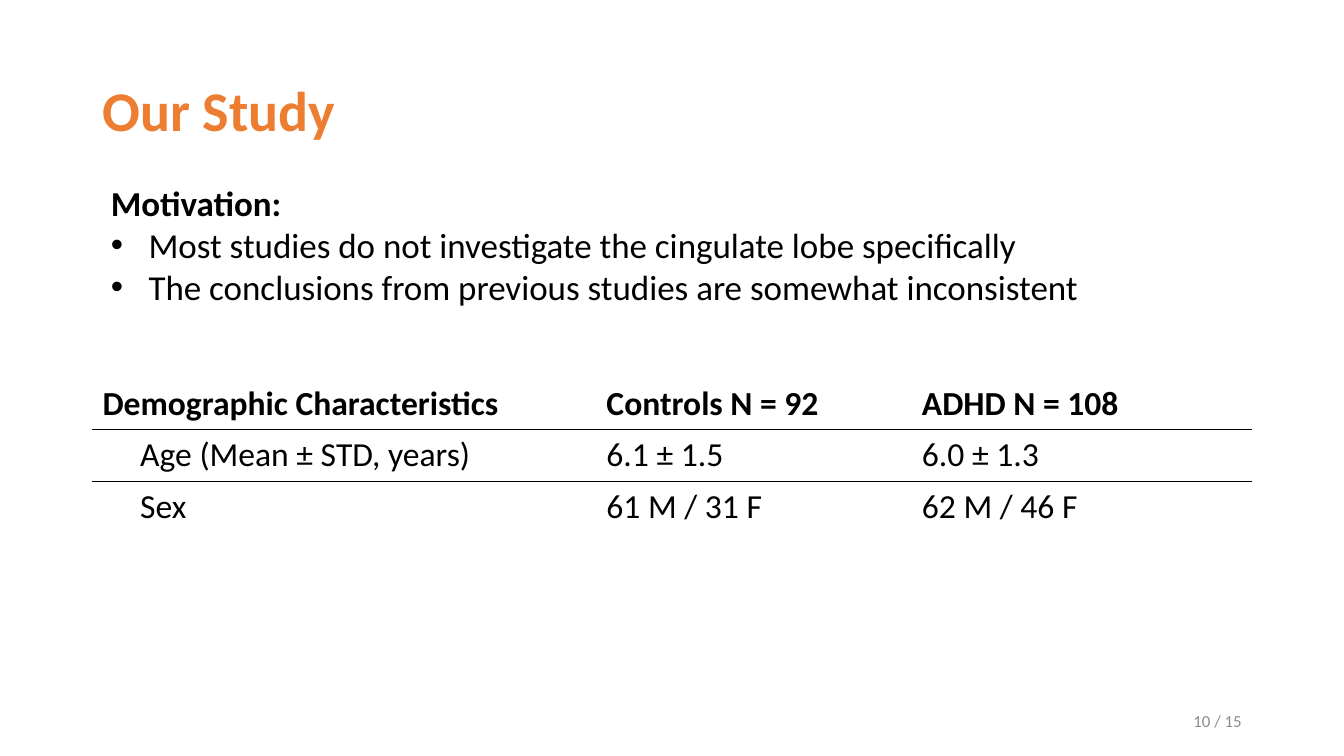
from dataclasses import dataclass

import lxml.etree
import pptx
import pptx.dml.color
import pptx.enum.text
import pptx.oxml
import pptx.oxml.ns
import pptx.util

Cm = pptx.util.Cm
Pt = pptx.util.Pt
qn = pptx.oxml.ns.qn
Align = pptx.enum.text.PP_ALIGN
Anchor = pptx.enum.text.MSO_ANCHOR


@dataclass(frozen=True)
class Theme:
    font: str = "Calibri"
    accent: str = "ED7D31"
    ink: str = "000000"
    muted: str = "8C8C8C"
    title_size: int = 40
    body_size: int = 25
    table_size: int = 24
    page_size: int = 12
    rule_width: int = 1
    indent: float = 0.95


class StudySlide:
    def __init__(self, deck, theme):
        self.theme = theme
        self.slide = deck.slides.add_slide(deck.slide_layouts[1])

    def place(self, shape, left, top, width, height):
        shape.left, shape.top = Cm(left), Cm(top)
        shape.width, shape.height = Cm(width), Cm(height)

    def add_text(self, paragraph, text, size, color, bold=False):
        run = paragraph.add_run()
        run.text = text
        run.font.name = self.theme.font
        run.font.size = Pt(size)
        run.font.bold = bold
        run.font.color.rgb = pptx.dml.color.RGBColor.from_string(color)

    def indent(self, paragraph, margin, first_line):
        properties = paragraph._p.get_or_add_pPr()
        properties.set("marL", str(Cm(margin)))
        properties.set("indent", str(Cm(first_line)))
        return properties

    def title(self, text, *box):
        heading = self.slide.shapes.title
        self.place(heading, *box)
        heading.text_frame.vertical_anchor = Anchor.MIDDLE
        paragraph = heading.text_frame.paragraphs[0]
        paragraph.alignment = Align.LEFT
        paragraph.line_spacing = 0.9
        self.add_text(paragraph, text, self.theme.title_size, self.theme.accent, True)

    def bullets(self, lead, points, *box):
        body = self.slide.placeholders[1]
        self.place(body, *box)
        frame = body.text_frame
        frame.auto_size = pptx.enum.text.MSO_AUTO_SIZE.SHAPE_TO_FIT_TEXT
        for index, text in enumerate([lead, *points]):
            is_lead = index == 0
            paragraph = frame.paragraphs[0] if is_lead else frame.add_paragraph()
            paragraph.space_before = Pt(0)
            margin = 0 if is_lead else self.theme.indent
            properties = self.indent(paragraph, margin, -margin)
            if is_lead:
                lxml.etree.SubElement(properties, qn("a:buNone"))
            else:
                lxml.etree.SubElement(properties, qn("a:buFont")).set("typeface", "Arial")
                lxml.etree.SubElement(properties, qn("a:buChar")).set("char", "•")
            self.add_text(paragraph, text, self.theme.body_size, self.theme.ink, is_lead)

    def rule(self, cell, side):
        line = lxml.etree.SubElement(cell._tc.get_or_add_tcPr(), qn(f"a:{side}"))
        line.set("w", str(Pt(self.theme.rule_width)))
        fill = lxml.etree.SubElement(line, qn("a:solidFill"))
        lxml.etree.SubElement(fill, qn("a:srgbClr")).set("val", self.theme.ink)

    def table(self, rows, widths, left, top, row_height):
        frame = self.slide.shapes.add_table(
            len(rows), len(widths), Cm(left), Cm(top),
            Cm(sum(widths)), Cm(row_height * len(rows)))
        table = frame.table
        table.first_row = table.horz_banding = False
        for column, width in zip(table.columns, widths):
            column.width = Cm(width)
        for r, row in enumerate(rows):
            table.rows[r].height = Cm(row_height)
            for c, text in enumerate(row):
                cell = table.cell(r, c)
                if r > 0:
                    self.rule(cell, "lnT")
                if r < len(rows) - 1:
                    self.rule(cell, "lnB")
                cell.fill.background()
                paragraph = cell.text_frame.paragraphs[0]
                if r > 0 and c == 0:
                    self.indent(paragraph, self.theme.indent, 0)
                self.add_text(paragraph, text, self.theme.table_size, self.theme.ink, r == 0)

    def page_number(self, text, *box):
        label = self.slide.shapes.add_textbox(*map(Cm, box))
        label.text_frame.word_wrap = True
        label.text_frame.vertical_anchor = Anchor.MIDDLE
        paragraph = label.text_frame.paragraphs[0]
        paragraph.alignment = Align.RIGHT
        self.add_text(paragraph, text, self.theme.page_size, self.theme.muted)


def main():
    deck = pptx.Presentation()
    deck.slide_width, deck.slide_height = Cm(33.87), Cm(19.05)
    study = StudySlide(deck, Theme())
    study.title("Our Study", 2.33, 1.01, 29.21, 3.68)
    study.table(
        [
            ("Demographic Characteristics", "Controls N = 92", "ADHD N = 108"),
            ("Age (Mean ± STD, years)", "6.1 ± 1.5", "6.0 ± 1.3"),
            ("Sex", "61 M / 31 F", "62 M / 46 F"),
        ],
        (12.7, 7.95, 8.56), 2.33, 9.53, 1.3)
    study.bullets(
        "Motivation:",
        [
            "Most studies do not investigate the cingulate lobe specifically",
            "The conclusions from previous studies are somewhat inconsistent",
        ],
        2.54, 4.45, 29.21, 3.45)
    study.page_number("10 / 15", 23.92, 17.66, 7.62, 1.01)
    deck.save("out.pptx")


if __name__ == "__main__":
    main()
